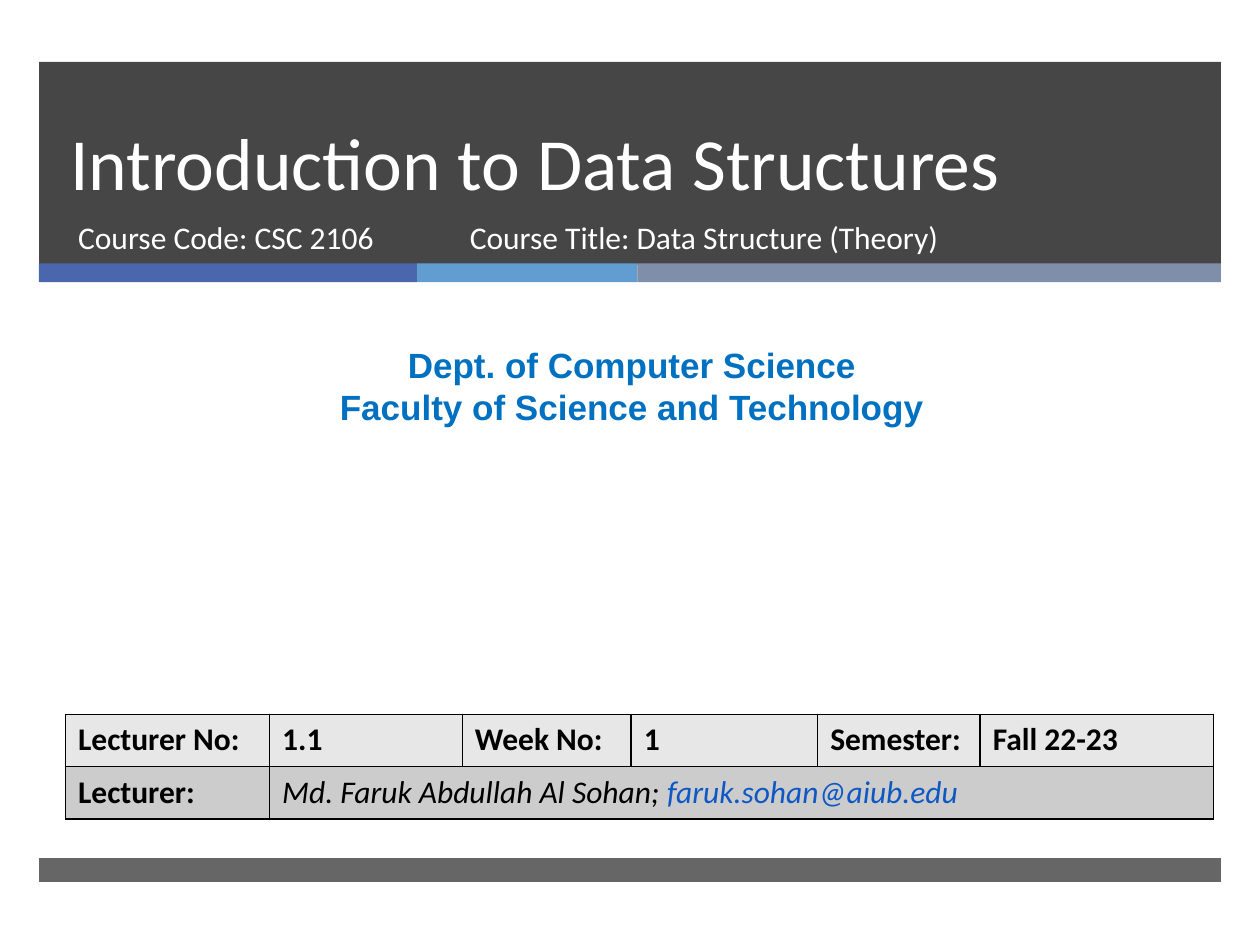
from lxml import etree
from pptx import Presentation
from pptx.dml.color import RGBColor
from pptx.enum.shapes import MSO_SHAPE as Shape
from pptx.enum.text import MSO_ANCHOR as Anchor, PP_ALIGN as Align
from pptx.oxml import parse_xml
from pptx.oxml.ns import nsdecls, qn
from pptx.util import Inches, Pt

WHITE = RGBColor(0xFF, 0xFF, 0xFF)
BLACK = RGBColor(0, 0, 0)
DARK = RGBColor(0x26, 0x26, 0x26)
NAVY = RGBColor(0x4A, 0x66, 0xAC)
SKY = RGBColor(0x62, 0x9D, 0xD1)
SLATE = RGBColor(0x7F, 0x8F, 0xA9)
BLUE = RGBColor(0x00, 0x70, 0xC0)
LINK = RGBColor(0x0E, 0x58, 0xC4)
PALE = RGBColor(0xE7, 0xE7, 0xE7)
GREY = RGBColor(0xCC, 0xCC, 0xCC)


def place(shape, left, top, width, height):
    shape.left, shape.top = Inches(left), Inches(top)
    shape.width, shape.height = Inches(width), Inches(height)


def style(part, size, color, name="Calibri", bold=False, italic=False):
    font = part.font
    font.size, font.name = Pt(size), name
    font.bold, font.italic = bold, italic
    font.color.rgb = color


def add_bar(slide, box, color, alpha=100):
    bar = slide.shapes.add_shape(Shape.RECTANGLE, *map(Inches, box))
    bar.shadow.inherit = False
    bar.line.fill.background()
    bar.fill.solid()
    bar.fill.fore_color.rgb = color
    if alpha < 100:
        tint = bar.element.spPr.find(qn("a:solidFill"))[0]
        etree.SubElement(tint, qn("a:alpha")).set("val", str(alpha * 1000))


def set_text(shape, text, size, color, align=Align.LEFT, **kind):
    frame = shape.text_frame
    frame.word_wrap = True
    frame.text = text
    for para in frame.paragraphs:
        para.alignment = align
        para.space_before = Pt(0)
        for run in para.runs:
            style(run, size, color, **kind)
    return frame


def add_note(slide, box, text, size, color, **kind):
    note = slide.shapes.add_textbox(*map(Inches, box))
    set_text(note, text, size, color, **kind)


def add_header(slide, left, top, width, height):
    add_bar(slide, (left, top, width, height), DARK, 85)
    edge = left
    for span, color in ((3, NAVY), (1.75, SKY), (width - 4.75, SLATE)):
        add_bar(slide, (edge, top + height - 0.01, span, 0.15), color)
        edge += span

    title, code = slide.placeholders
    for holder in (title, code):
        slide.shapes.element.append(holder.element)
    place(title, left + 0.15, top, 8.54, 1.19)
    frame = set_text(title, "Introduction to Data Structures", 42, WHITE)
    frame.vertical_anchor = Anchor.BOTTOM
    frame.paragraphs[0].line_spacing = Pt(46)

    base = top + 1.19
    place(code, left + 0.21, base, 3.05, 0.53)
    set_text(code, "Course Code: CSC 2106", 18, WHITE)
    add_note(slide, (left + 3.32, base, 4.55, 0.53),
             "Course Title: Data Structure (Theory)", 18, WHITE)


def add_edges(cell):
    props = cell._tc.get_or_add_tcPr()
    for index, side in enumerate(("lnL", "lnR", "lnT", "lnB")):
        props.insert(index, parse_xml(
            f'<a:{side} {nsdecls("a")} w="12700"><a:solidFill>'
            f'<a:srgbClr val="{BLACK}"/></a:solidFill></a:{side}>'))


def add_info(slide, left, top, width, height):
    spans = (1.62, 1.53, 1.34, 1.48, 1.29, 1.85)
    rows = (
        ("Lecturer No:", "1.1", "Week No:", "1", "Semester:", "Fall 22-23"),
        ("Lecturer:",),
    )
    box = map(Inches, (left, top, width, height))
    table = slide.shapes.add_table(len(rows), len(spans), *box).table
    for col, span in zip(table.columns, spans):
        col.width = Inches(span)
    for index, (row, color) in enumerate(zip(rows, (PALE, GREY))):
        for cell in table.rows[index].cells:
            cell.fill.solid()
            cell.fill.fore_color.rgb = color
            add_edges(cell)
        for cell, text in zip(table.rows[index].cells, row):
            cell.text = text
            style(cell.text_frame.paragraphs[0].runs[0], 18, BLACK, bold=True)

    name = table.cell(1, 1)
    name.merge(table.cell(1, 5))
    para = name.text_frame.paragraphs[0]
    for text, color in (("Md. Faruk Abdullah Al Sohan; ", BLACK),
                        ("faruk.sohan@aiub.edu", LINK)):
        run = para.add_run()
        run.text = text
        style(run, 18, color, italic=True)


def main():
    deck = Presentation()
    deck.slide_width, deck.slide_height = Inches(10), Inches(7.5)
    slide = deck.slides.add_slide(deck.slide_layouts[0])
    add_header(slide, 0.31, 0.49, 9.38, 1.61)
    add_bar(slide, (0.31, 6.81, 9.38, 0.19), DARK, 70)
    add_note(slide, (0.08, 2.68, 9.87, 0.77),
             "Dept. of Computer Science\nFaculty of Science and Technology",
             20, BLUE, align=Align.CENTER, name="Arial", bold=True)
    add_info(slide, 0.52, 5.67, 9.12, 0.83)
    deck.save("out.pptx")


if __name__ == "__main__":
    main()
